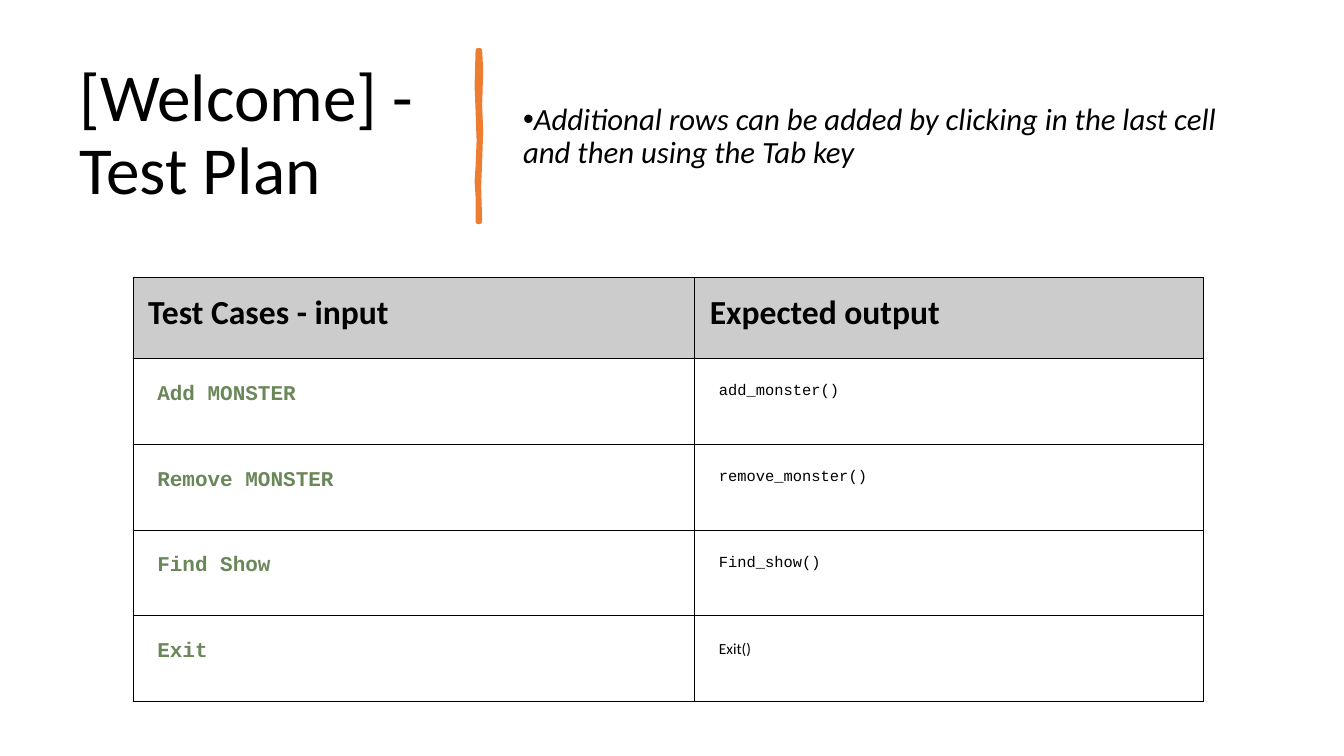
"""Build the test plan slide."""
from lxml import etree
from pptx import Presentation
from pptx import util as u
from pptx.dml.color import RGBColor
from pptx.enum import text
from pptx.oxml import ns

BLACK = RGBColor(0x00, 0x00, 0x00)
ORANGE = RGBColor(0xED, 0x7D, 0x31)
GREY = RGBColor(0xCC, 0xCC, 0xCC)
GREEN = RGBColor(0x6A, 0x87, 0x59)
SANS, MONO = "Calibri", "Courier New"

HEADINGS = ("Test Cases - input", "Expected output")
TEST_CASES = (
    ("Add MONSTER", "add_monster()", MONO),
    ("Remove MONSTER", "remove_monster()", MONO),
    ("Find Show", "Find_show()", MONO),
    ("Exit", "Exit()", SANS),
)
BAR_RIGHT = ((4.76, 0.5), (4.77, 0.7), (4.76, 1.05), (4.77, 1.3),
             (4.76, 1.6), (4.75, 1.85), (4.76, 2.2))
BAR_LEFT = ((4.74, 2.2), (4.74, 1.95), (4.73, 1.8), (4.74, 1.65),
            (4.75, 1.4), (4.74, 1.1), (4.73, 0.85), (4.74, 0.5))


def write(frame, words, size, font=SANS, color=BLACK, bold=False,
          italic=False, spacing=None):
    """Put one formatted paragraph into a text frame and return it."""
    para = frame.paragraphs[0]
    para.alignment = text.PP_ALIGN.LEFT
    para.line_spacing = spacing
    span = para.add_run()
    span.text = words
    span.font.size = u.Pt(size)
    span.font.name = font
    span.font.color.rgb = color
    span.font.bold = bold
    span.font.italic = italic
    return para


def place(shape, left, top, width, height):
    """Position a text shape and centre its text vertically."""
    shape.left, shape.top = u.Inches(left), u.Inches(top)
    shape.width, shape.height = u.Inches(width), u.Inches(height)
    shape.text_frame.word_wrap = True
    shape.text_frame.auto_size = text.MSO_AUTO_SIZE.NONE
    shape.text_frame.vertical_anchor = text.MSO_ANCHOR.MIDDLE


def add_title(page):
    """Fill the title placeholder."""
    place(page.shapes.title, 0.69, 0.55, 3.74, 1.6)
    write(page.shapes.title.text_frame, "[Welcome] - Test Plan", 48, spacing=0.9)


def add_hint(page):
    """Add the bulleted hint beside the title."""
    box = page.shapes.add_textbox(0, 0, 0, 0)
    place(box, 5.09, 0.56, 7.54, 1.6)
    para = write(box.text_frame,
                 "Additional rows can be added by clicking in the last cell "
                 "and then using the Tab key", 22, italic=True, spacing=0.9)
    para.space_after = u.Pt(6)
    properties = para._p.get_or_add_pPr()
    properties.set("marL", "0")
    properties.set("indent", str(-u.Inches(0.25)))
    etree.SubElement(properties, ns.qn("a:buFont"), typeface="Arial")
    etree.SubElement(properties, ns.qn("a:buChar"), char="•")


def add_bar(page):
    """Draw the uneven vertical stroke between title and hint."""
    points = [(u.Inches(x), u.Inches(y)) for x, y in BAR_RIGHT + BAR_LEFT]
    builder = page.shapes.build_freeform(*points[0])
    builder.add_line_segments(points[1:], close=True)
    bar = builder.convert_to_shape()
    bar.shadow.inherit = False
    bar.fill.solid()
    bar.fill.fore_color.rgb = ORANGE
    bar.line.color.rgb = ORANGE
    bar.line.width = u.Pt(3.25)
    etree.SubElement(bar.line._get_or_add_ln(), ns.qn("a:round"))


def add_borders(cell):
    """Give a cell thin black borders on all sides."""
    properties = cell._tc.get_or_add_tcPr()
    for side in ("lnL", "lnR", "lnT", "lnB"):
        line = etree.SubElement(properties, ns.qn(f"a:{side}"), w=str(u.Pt(1)))
        fill = etree.SubElement(line, ns.qn("a:solidFill"))
        etree.SubElement(fill, ns.qn("a:srgbClr"), val=str(BLACK))


def fill_cell(cell, words, size, inset, shade=None, **style):
    """Write a table cell and set its margins, borders and fill."""
    cell.margin_left = cell.margin_right = u.Inches(inset)
    cell.margin_top = cell.margin_bottom = u.Inches(inset)
    add_borders(cell)
    if shade is None:
        cell.fill.background()
    else:
        cell.fill.solid()
        cell.fill.fore_color.rgb = shade
    write(cell.text_frame, words, size, **style)


def add_plan(page):
    """Add the table of test cases."""
    frame = page.shapes.add_table(len(TEST_CASES) + 1, len(HEADINGS), u.Inches(1.32),
                                  u.Inches(2.75), u.Inches(10.62), u.Inches(4.2))
    plan = frame.table
    plan.first_row = plan.horz_banding = False
    for column, width in zip(plan.columns, (5.57, 5.05)):
        column.width = u.Inches(width)
    for index, row in enumerate(plan.rows):
        row.height = u.Inches(0.85 if index else 0.81)
    for index, heading in enumerate(HEADINGS):
        fill_cell(plan.cell(0, index), heading, 24, 0.15, shade=GREY, bold=True)
    for index, (entry, result, font) in enumerate(TEST_CASES, 1):
        fill_cell(plan.cell(index, 0), entry, 15, 0.24, font=MONO,
                  color=GREEN, bold=True)
        fill_cell(plan.cell(index, 1), result, 11, 0.24, font=font)


def main():
    """Create and save the deck."""
    deck = Presentation()
    deck.slide_width, deck.slide_height = u.Inches(13.33), u.Inches(7.5)
    page = deck.slides.add_slide(deck.slide_layouts[5])
    add_title(page)
    add_bar(page)
    add_hint(page)
    add_plan(page)
    deck.save("out.pptx")


if __name__ == "__main__":
    main()
